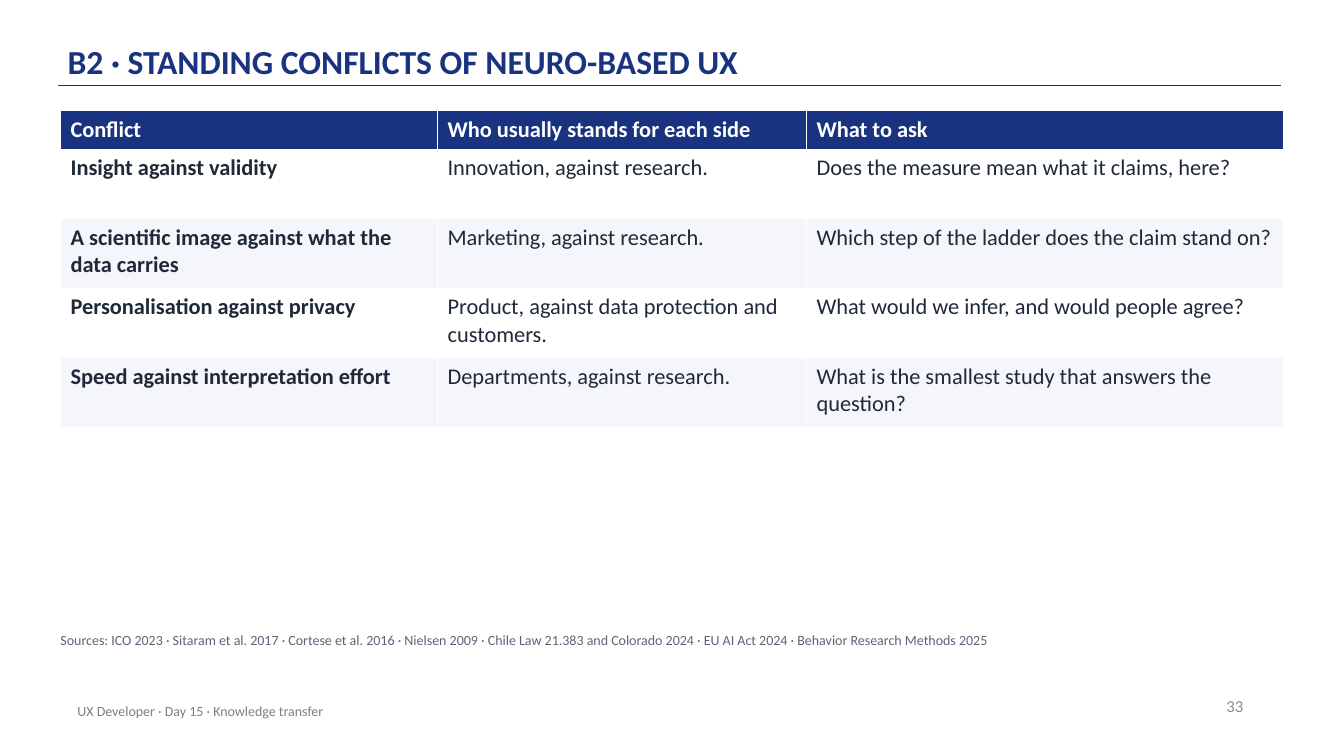
from dataclasses import dataclass

from lxml import etree
from pptx import Presentation
from pptx.dml.color import RGBColor
from pptx.enum.shapes import MSO_CONNECTOR
from pptx.enum.text import MSO_ANCHOR, MSO_AUTO_SIZE, PP_ALIGN
from pptx.oxml.ns import qn
from pptx.slide import Slide
from pptx.text.text import TextFrame
from pptx.util import Inches, Pt

LEFT, RIGHT = PP_ALIGN.LEFT, PP_ALIGN.RIGHT
TOP, MIDDLE, BOTTOM = MSO_ANCHOR.TOP, MSO_ANCHOR.MIDDLE, MSO_ANCHOR.BOTTOM
STRAIGHT = MSO_CONNECTOR.STRAIGHT
NO_FIT = MSO_AUTO_SIZE.NONE

NAVY = RGBColor(0x1A, 0x33, 0x81)
INK = RGBColor(0x1F, 0x29, 0x37)
SLATE = RGBColor(0x5B, 0x65, 0x77)
GREY = RGBColor(0x80, 0x80, 0x80)
LIGHT_GREY = RGBColor(0x8C, 0x8C, 0x8C)
WHITE = RGBColor(0xFF, 0xFF, 0xFF)
PALE = RGBColor(0xF4, 0xF6, 0xFB)

FONT = "Calibri"
COLUMNS = (3.74, 3.66, 4.73)
HEADER_HEIGHT, ROW_HEIGHT = 0.38, 0.69


@dataclass(frozen=True)
class Style:
    size: float
    color: RGBColor
    bold: bool = False


@dataclass(frozen=True)
class Label:
    text: str
    box: tuple[float, float, float, float]
    style: Style
    anchor: MSO_ANCHOR = MIDDLE
    align: PP_ALIGN = LEFT
    inset: tuple[float, float] = (0.1, 0.05)
    space_after: float = 0


@dataclass(frozen=True)
class Conflict:
    name: str
    sides: str
    question: str


HEADINGS = ("Conflict", "Who usually stands for each side", "What to ask")
CONFLICTS = (
    Conflict("Insight against validity", "Innovation, against research.",
             "Does the measure mean what it claims, here?"),
    Conflict("A scientific image against what the data carries",
             "Marketing, against research.",
             "Which step of the ladder does the claim stand on?"),
    Conflict("Personalisation against privacy",
             "Product, against data protection and customers.",
             "What would we infer, and would people agree?"),
    Conflict("Speed against interpretation effort", "Departments, against research.",
             "What is the smallest study that answers the question?"),
)
LABELS = (
    Label("33", (9.43, 6.8, 3, 0.4), Style(12, LIGHT_GREY), align=RIGHT),
    Label("UX Developer · Day 15 · Knowledge transfer", (0.67, 6.85, 6.7, 0.4),
          Style(10, GREY)),
    Label("Sources: ICO 2023 · Sitaram et al. 2017 · Cortese et al. 2016 · "
          "Nielsen 2009 · Chile Law 21.383 and Colorado 2024 · EU AI Act 2024 · "
          "Behavior Research Methods 2025", (0.6, 6.27, 12.1, 0.3),
          Style(10, SLATE), anchor=TOP, inset=(0, 0), space_after=6),
)


def write(tf: TextFrame, text: str, style: Style, align: PP_ALIGN = LEFT) -> None:
    p = tf.paragraphs[0]
    p.alignment = align
    r = p.add_run()
    r.text = text
    r.font.name = FONT
    r.font.size = Pt(style.size)
    r.font.bold = style.bold
    r.font.color.rgb = style.color


def set_frame(tf: TextFrame, anchor: MSO_ANCHOR, inset: tuple[float, float]) -> None:
    tf.word_wrap = True
    tf.auto_size = NO_FIT
    tf.vertical_anchor = anchor
    tf.margin_left = tf.margin_right = Inches(inset[0])
    tf.margin_top = tf.margin_bottom = Inches(inset[1])


def add_title(s: Slide, text: str) -> None:
    sp = s.shapes.title
    sp.left, sp.top, sp.width, sp.height = map(Inches, (0.67, 0.12, 11, 0.72))
    set_frame(sp.text_frame, BOTTOM, (0, 0.03))
    write(sp.text_frame, text, Style(24, NAVY, True))
    sp.text_frame.paragraphs[0].line_spacing = 0.9


def add_rule(s: Slide) -> None:
    line = s.shapes.add_connector(
        STRAIGHT, *map(Inches, (0.58, 0.85, 12.71, 0.85)))
    line.line.color.rgb = NAVY
    line.line.width = Pt(1)
    etree.SubElement(line._element.spPr, qn("a:effectLst"))


def add_label(s: Slide, label: Label) -> None:
    tf = s.shapes.add_textbox(*map(Inches, label.box)).text_frame
    set_frame(tf, label.anchor, label.inset)
    write(tf, label.text, label.style, label.align)
    tf.paragraphs[0].space_after = Pt(label.space_after)


def add_conflict_table(s: Slide) -> None:
    rows = [HEADINGS] + [(c.name, c.sides, c.question) for c in CONFLICTS]
    height = HEADER_HEIGHT + ROW_HEIGHT * len(CONFLICTS)
    table = s.shapes.add_table(
        len(rows), len(COLUMNS),
        *map(Inches, (0.6, 1.1, sum(COLUMNS), height))).table
    for column, width in zip(table.columns, COLUMNS):
        column.width = Inches(width)
    for i, texts in enumerate(rows):
        header = i == 0
        table.rows[i].height = Inches(HEADER_HEIGHT if header else ROW_HEIGHT)
        fill = NAVY if header else WHITE if i % 2 else PALE
        for j, text in enumerate(texts):
            cell = table.cell(i, j)
            cell.fill.solid()
            cell.fill.fore_color.rgb = fill
            style = Style(16, WHITE if header else INK, header or j == 0)
            write(cell.text_frame, text, style)


def main() -> None:
    prs = Presentation()
    prs.slide_width, prs.slide_height = Inches(13.33), Inches(7.5)
    s = prs.slides.add_slide(prs.slide_layouts.get_by_name("Title Only"))

    # Heading
    add_rule(s)
    add_title(s, "B2 · STANDING CONFLICTS OF NEURO-BASED UX")

    # Conflicts, sides and questions
    add_conflict_table(s)

    # Sources and footer
    for label in LABELS:
        add_label(s, label)

    prs.save("out.pptx")


if __name__ == "__main__":
    main()
